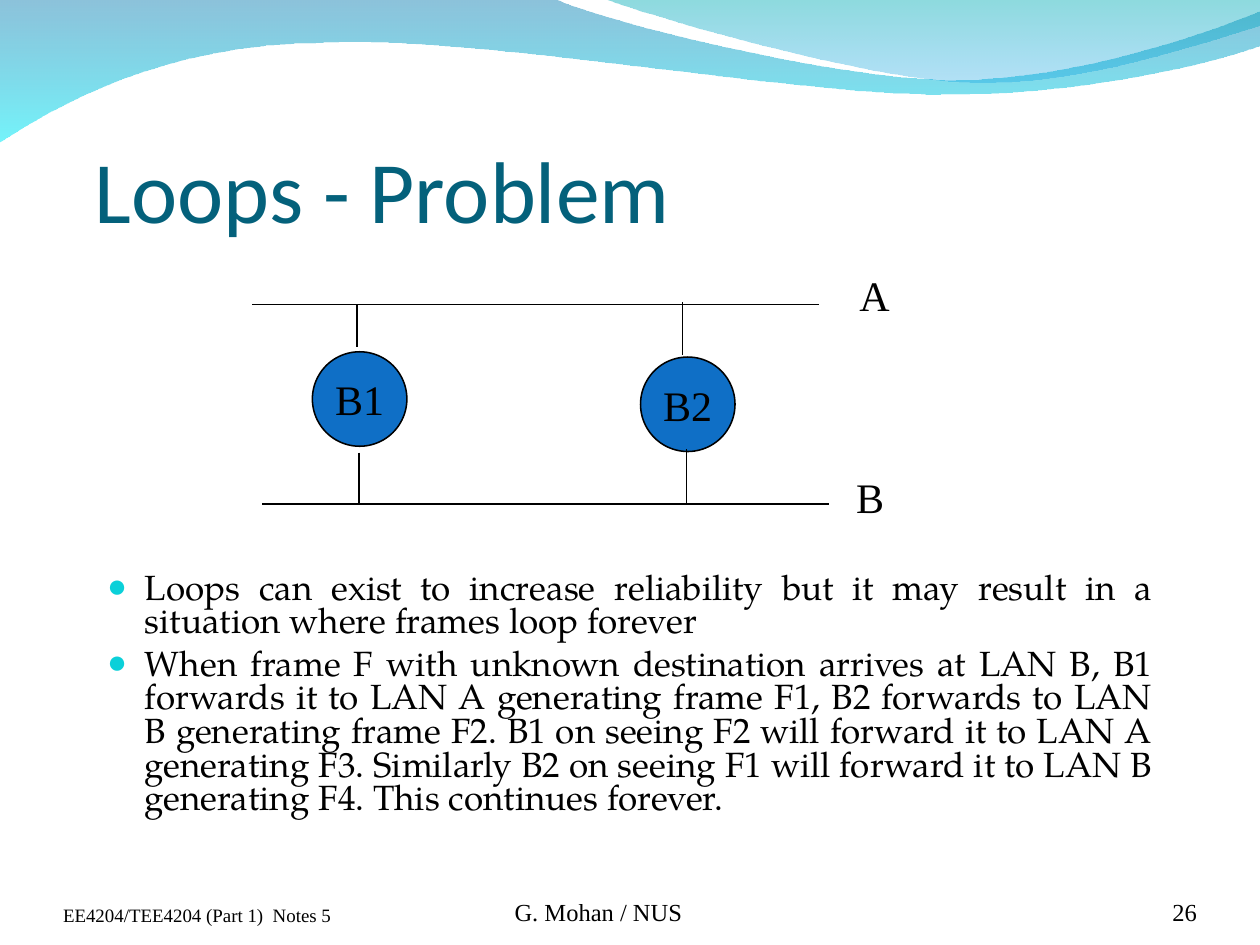
from typing import NamedTuple

from lxml.etree import SubElement
from pptx import Presentation
from pptx.dml.color import RGBColor
from pptx.enum.shapes import MSO_CONNECTOR, MSO_SHAPE
from pptx.enum.text import MSO_ANCHOR as Anchor, MSO_AUTO_SIZE as AutoSize, PP_ALIGN as Align
from pptx.oxml.ns import qn
from pptx.util import Inches, Pt

UNIT = Inches(10) // 120  # the slide is a grid of 120 columns by 90 rows
SERIF = "Times New Roman"
BLACK = "000000"
LINE_WIDTH = 0.88
BRIDGE_SIZE = 9


class Box(NamedTuple):
    left: float
    top: float
    width: float
    height: float


class Style(NamedTuple):
    size: float
    font: str = SERIF
    color: str = BLACK
    align: Align = Align.LEFT
    spacing: float = 1.0


class Label(NamedTuple):
    text: str
    box: Box
    style: Style
    anchor: Anchor = Anchor.TOP
    inset: bool = True
    wrap: bool = False


class Stop(NamedTuple):
    color: str
    opacity: int


class Wave(NamedTuple):
    """Segments hold one point for a line, three for a cubic curve."""
    start: tuple
    segments: list
    stops: tuple


class Bridge(NamedTuple):
    name: str
    left: float
    top: float


class Link(NamedTuple):
    x1: float
    y1: float
    x2: float
    y2: float


NAME_STYLE = Style(24, align=Align.CENTER)
BODY_STYLE = Style(20, "TeX Gyre Pagella", align=Align.JUSTIFY, spacing=0.8)

WAVES = [
    Wave((0, -0.1), [
        [(52.8, -0.1)],
        [(57.1, 2), (79.7, 7.6), (91, 7.6)],
        [(102.4, 7.6), (115, 3.1), (120, 1.1)],
        [(120.1, 4.3)],
        [(118, 5.3), (104.4, 9.1), (89.5, 9)],
        [(74.6, 9), (45.8, 3.4), (30.8, 4.1)],
        [(15.5, 4.2), (5.5, 10), (-0.1, 13.6)],
    ], (Stop("0079AF", 45), Stop("00EBF8", 55))),
    Wave((57.5, -0.1), [
        [(61.1, 1.3), (81.8, 7.4), (92.3, 7.8)],
        [(102.7, 8.3), (115.3, 3.8), (120, 2.5)],
        [(120, 0)],
    ], (Stop("00ADB6", 45), Stop("009BE5", 30))),
]

FOOTERS = [
    Label(text, Box(left, 83.4, width, 4.8), style, Anchor.BOTTOM, False, True)
    for text, left, width, style in [
        ("EE4204/TEE4204 (Part 1)  Notes 5", 6, 28, Style(10.8, spacing=0.8)),
        ("G. Mohan / NUS", 35, 44, Style(14, align=Align.CENTER)),
        ("26", 104, 10, Style(14, align=Align.RIGHT)),
    ]
]
LAN_NAMES = [
    Label("A", Box(80.65, 25.1, 5.3, 6), NAME_STYLE),
    Label("B", Box(80.35, 44.3, 5, 6), NAME_STYLE),
]
BRIDGES = [Bridge("B1", 29.75, 33.5), Bridge("B2", 61, 34)]
LINKS = [
    Link(24, 29, 78, 29),
    Link(25, 48, 79, 48),
    Link(34, 29, 34, 33),
    Link(65, 28.8, 65, 33.8),
    Link(65.4, 42.8, 65.4, 47.9),
    Link(34.2, 43.1, 34.2, 48.1),
]
POINTS = [
    "Loops can exist to increase reliability but it may result in a "
    "situation where frames loop forever",
    "When frame F with unknown destination arrives at LAN B, B1 forwards it "
    "to LAN A generating frame F1, B2 forwards to LAN B generating frame F2. "
    "B1 on seeing F2 will forward it to LAN A generating F3. Similarly B2 on "
    "seeing F1 will forward it to LAN B generating F4. This continues forever.",
]


def grid(*values: float) -> list:
    return [round(value * UNIT) for value in values]


def rgb(color: str) -> RGBColor:
    return RGBColor.from_string(color)


def write(paragraph, text: str, style: Style) -> None:
    paragraph.alignment = style.align
    paragraph.line_spacing = style.spacing
    run = paragraph.add_run()
    run.text = text
    run.font.size = Pt(style.size)
    run.font.name = style.font
    run.font.color.rgb = rgb(style.color)


def set_insets(frame, left: float, top: float, right: float, bottom: float) -> None:
    frame.margin_left, frame.margin_top = Inches(left), Inches(top)
    frame.margin_right, frame.margin_bottom = Inches(right), Inches(bottom)


def bend(shape, segments: list) -> None:
    """Join the three lines of each curved segment into one cubic curve."""
    lines = iter(list(shape.element.iter(qn("a:lnTo"))))
    for segment in segments:
        first, *others = [next(lines) for _ in segment]
        if others:
            first.tag = qn("a:cubicBezTo")
            for line in others:
                first.append(line[0])
                line.getparent().remove(line)


def draw_wave(slide, wave: Wave) -> None:
    builder = slide.shapes.build_freeform(*grid(*wave.start))
    points = [grid(*point) for segment in wave.segments for point in segment]
    builder.add_line_segments(points, close=True)
    shape = builder.convert_to_shape()
    bend(shape, wave.segments)
    shape.shadow.inherit = False
    shape.line.fill.background()
    shape.fill.gradient()
    shape.fill.gradient_angle = 270
    elements = shape.element.spPr.iter(qn("a:gs"))
    for position, (gradient_stop, element, stop) in enumerate(
            zip(shape.fill.gradient_stops, elements, wave.stops)):
        gradient_stop.position = position
        gradient_stop.color.rgb = rgb(stop.color)
        SubElement(element[0], qn("a:alpha"), val=str(stop.opacity * 1000))


def draw_label(slide, label: Label) -> None:
    frame = slide.shapes.add_textbox(*grid(*label.box)).text_frame
    frame.word_wrap = label.wrap
    frame.vertical_anchor = label.anchor
    if not label.inset:
        set_insets(frame, 0, 0, 0, 0)
    write(frame.paragraphs[0], label.text, label.style)


def draw_bridge(slide, bridge: Bridge) -> None:
    box = Box(bridge.left, bridge.top, BRIDGE_SIZE, BRIDGE_SIZE)
    shape = slide.shapes.add_shape(MSO_SHAPE.OVAL, *grid(*box))
    shape.shadow.inherit = False
    shape.fill.solid()
    shape.fill.fore_color.rgb = rgb("0F6FC6")
    shape.line.color.rgb = rgb(BLACK)
    shape.line.width = Pt(LINE_WIDTH)
    shape.text_frame.word_wrap = False
    shape.text_frame.vertical_anchor = Anchor.MIDDLE
    write(shape.text_frame.paragraphs[0], bridge.name, NAME_STYLE)


def draw_link(slide, link: Link) -> None:
    connector = slide.shapes.add_connector(MSO_CONNECTOR.STRAIGHT, *grid(*link))
    connector.line.color.rgb = rgb(BLACK)
    connector.line.width = Pt(LINE_WIDTH)
    SubElement(connector.element.spPr, qn("a:effectLst"))


def add_bullet(paragraph) -> None:
    properties = paragraph._p.get_or_add_pPr()
    properties.set("marL", str(Inches(0.3)))
    properties.set("indent", str(-Inches(0.3)))
    color = SubElement(properties, qn("a:buClr"))
    SubElement(color, qn("a:srgbClr"), val="0BD0D9")
    SubElement(properties, qn("a:buSzPct"), val="95000")
    SubElement(properties, qn("a:buFont"), typeface=SERIF)
    SubElement(properties, qn("a:buChar"), char="●")


def place(placeholder, box: Box, anchor: Anchor):
    placeholder.left, placeholder.top, placeholder.width, placeholder.height = grid(*box)
    frame = placeholder.text_frame
    frame.auto_size = AutoSize.NONE
    frame.vertical_anchor = anchor
    return frame


def set_title(slide, box: Box, text: str) -> None:
    frame = place(slide.shapes.title, box, Anchor.BOTTOM)
    set_insets(frame, 0, 0.05, 0, 0)
    write(frame.paragraphs[0], text, Style(50, "Calibri", "04617B"))


def set_body(slide, box: Box, points: list) -> None:
    frame = place(slide.placeholders[1], box, Anchor.TOP)
    for index, text in enumerate(points):
        paragraph = frame.add_paragraph() if index else frame.paragraphs[0]
        write(paragraph, text, BODY_STYLE)
        paragraph.space_before = Pt(5)
        add_bullet(paragraph)


def main() -> None:
    presentation = Presentation()
    presentation.slide_width, presentation.slide_height = grid(120, 90)
    slide = presentation.slides.add_slide(presentation.slide_layouts[1])
    for wave in WAVES:
        draw_wave(slide, wave)
    set_title(slide, Box(9, 8, 102, 15), "Loops - Problem")
    set_body(slide, Box(9, 54, 102, 26), POINTS)
    for bridge in BRIDGES:
        draw_bridge(slide, bridge)
    for link in LINKS:
        draw_link(slide, link)
    for label in FOOTERS + LAN_NAMES:
        draw_label(slide, label)
    presentation.save("out.pptx")


if __name__ == "__main__":
    main()
